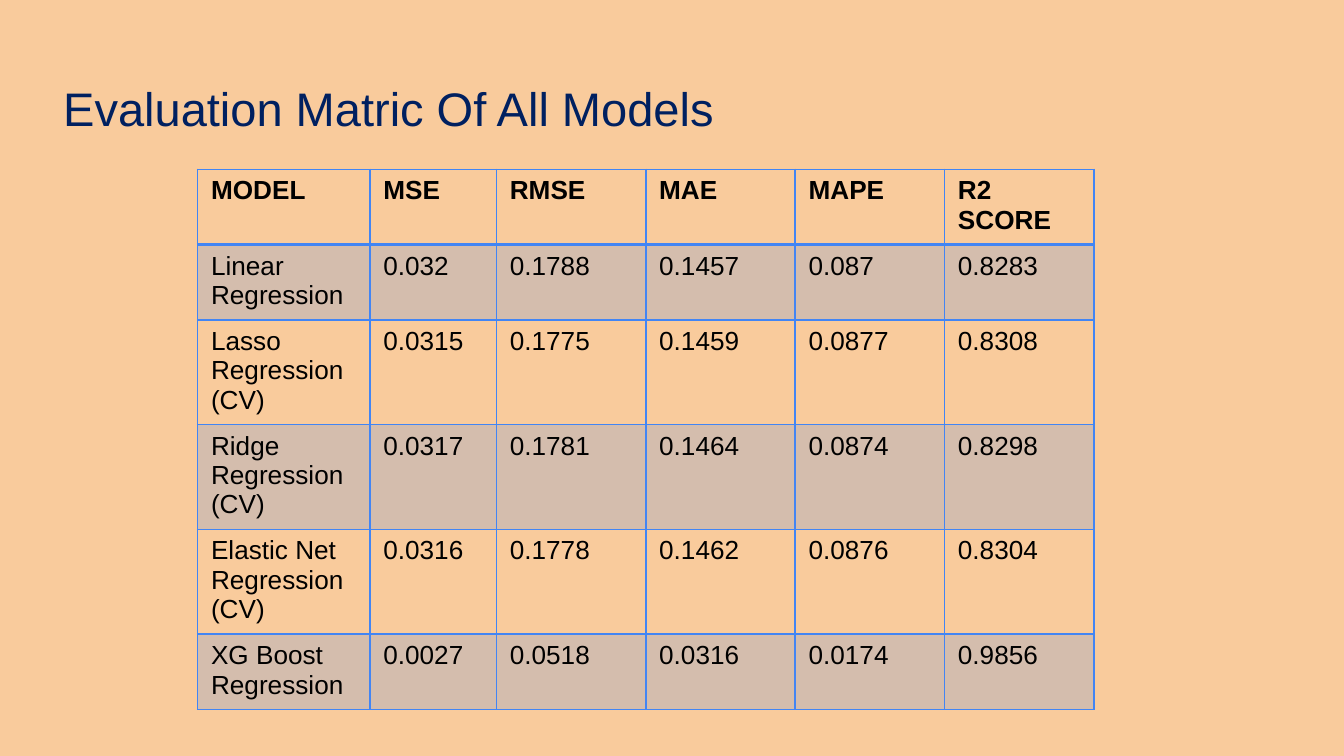
from lxml.etree import SubElement
from pptx import Presentation
from pptx.dml.color import RGBColor
from pptx.enum.text import MSO_ANCHOR, MSO_AUTO_SIZE, PP_ALIGN
from pptx.oxml import parse_xml
from pptx.oxml.ns import nsdecls, qn
from pptx.util import Inches, Pt

PEACH = RGBColor(0xF9, 0xCB, 0x9C)
NAVY = RGBColor(0x00, 0x20, 0x60)
BLUE = RGBColor(0x42, 0x85, 0xF4)
BLACK = RGBColor(0x00, 0x00, 0x00)
FONT = "Arial"

COLUMN_WIDTHS = [1.28, 0.94, 1.11, 1.11, 1.11, 1.11]
ROW_HEIGHTS = [0.56, 0.56, 0.78, 0.78, 0.78, 0.56]
METRICS = [
    ["MODEL", "MSE", "RMSE", "MAE", "MAPE", "R2 SCORE"],
    ["Linear Regression", "0.032", "0.1788", "0.1457", "0.087", "0.8283"],
    ["Lasso Regression\n(CV)", "0.0315", "0.1775", "0.1459", "0.0877", "0.8308"],
    ["Ridge Regression\n(CV)", "0.0317", "0.1781", "0.1464", "0.0874", "0.8298"],
    ["Elastic Net Regression\n(CV)", "0.0316", "0.1778", "0.1462", "0.0876", "0.8304"],
    ["XG Boost Regression", "0.0027", "0.0518", "0.0316", "0.0174", "0.9856"],
]


def add_span(para, text, size, color, bold=False):
    span = para.add_run()
    span.text = text
    span.font.name = FONT
    span.font.size = Pt(size)
    span.font.bold = bold
    span.font.color.rgb = color


def add_title(page, left, top, width, height):
    box = page.shapes.title
    box.left, box.top = Inches(left), Inches(top)
    box.width, box.height = Inches(width), Inches(height)
    frame = box.text_frame
    frame.word_wrap = True
    frame.auto_size = MSO_AUTO_SIZE.NONE
    frame.vertical_anchor = MSO_ANCHOR.TOP
    frame.margin_left = frame.margin_right = Inches(0.1)
    frame.margin_top = frame.margin_bottom = Inches(0.1)
    para = frame.paragraphs[0]
    para.alignment = PP_ALIGN.LEFT
    para._p.get_or_add_pPr().set("marL", str(Inches(0.03)))
    add_span(para, "Evaluation Matric Of All Models", 25.2, NAVY)


def set_borders(cell, top, bottom):
    properties = cell._tc.get_or_add_tcPr()
    widths = {"lnL": 1, "lnR": 1, "lnT": top, "lnB": bottom}
    for position, (side, width) in enumerate(widths.items()):
        border = parse_xml(
            f'<a:{side} {nsdecls("a")} w="{Pt(width)}"><a:solidFill>'
            f'<a:srgbClr val="{BLUE}"/></a:solidFill></a:{side}>'
        )
        properties.insert(position, border)


def set_fill(cell, shaded):
    if not shaded:
        cell.fill.background()
        return
    cell.fill.solid()
    cell.fill.fore_color.rgb = BLUE
    color = cell._tc.tcPr.find(qn("a:solidFill")).find(qn("a:srgbClr"))
    SubElement(color, qn("a:alpha")).set("val", "20000")


def add_metrics_table(page, left, top, width, height):
    box = page.shapes.add_table(
        len(METRICS), len(COLUMN_WIDTHS),
        Inches(left), Inches(top), Inches(width), Inches(height),
    )
    table = box.table
    table.first_row = table.horz_banding = False
    for column, share in zip(table.columns, COLUMN_WIDTHS):
        column.width = Inches(width * share / sum(COLUMN_WIDTHS))
    for row, share in zip(table.rows, ROW_HEIGHTS):
        row.height = Inches(height * share / sum(ROW_HEIGHTS))
    for row_index, values in enumerate(METRICS):
        for column_index, value in enumerate(values):
            cell = table.cell(row_index, column_index)
            frame = cell.text_frame
            for line_index, line in enumerate(value.split("\n")):
                para = frame.add_paragraph() if line_index else frame.paragraphs[0]
                add_span(para, line, 14, BLACK, bold=row_index == 0)
            set_fill(cell, shaded=row_index % 2 == 1)
            set_borders(
                cell,
                top=2 if row_index == 1 else 1,
                bottom=2 if row_index == 0 else 1,
            )


def main():
    deck = Presentation()
    deck.slide_width = Inches(10)
    deck.slide_height = deck.slide_width * 9 // 16
    page = deck.slides.add_slide(deck.slide_layouts[5])
    page.background.fill.solid()
    page.background.fill.fore_color.rgb = PEACH
    add_title(page, 0.34, 0.49, 9.32, 0.63)
    add_metrics_table(page, 1.47, 1.26, 6.67, 4.02)
    deck.save("out.pptx")


if __name__ == "__main__":
    main()
